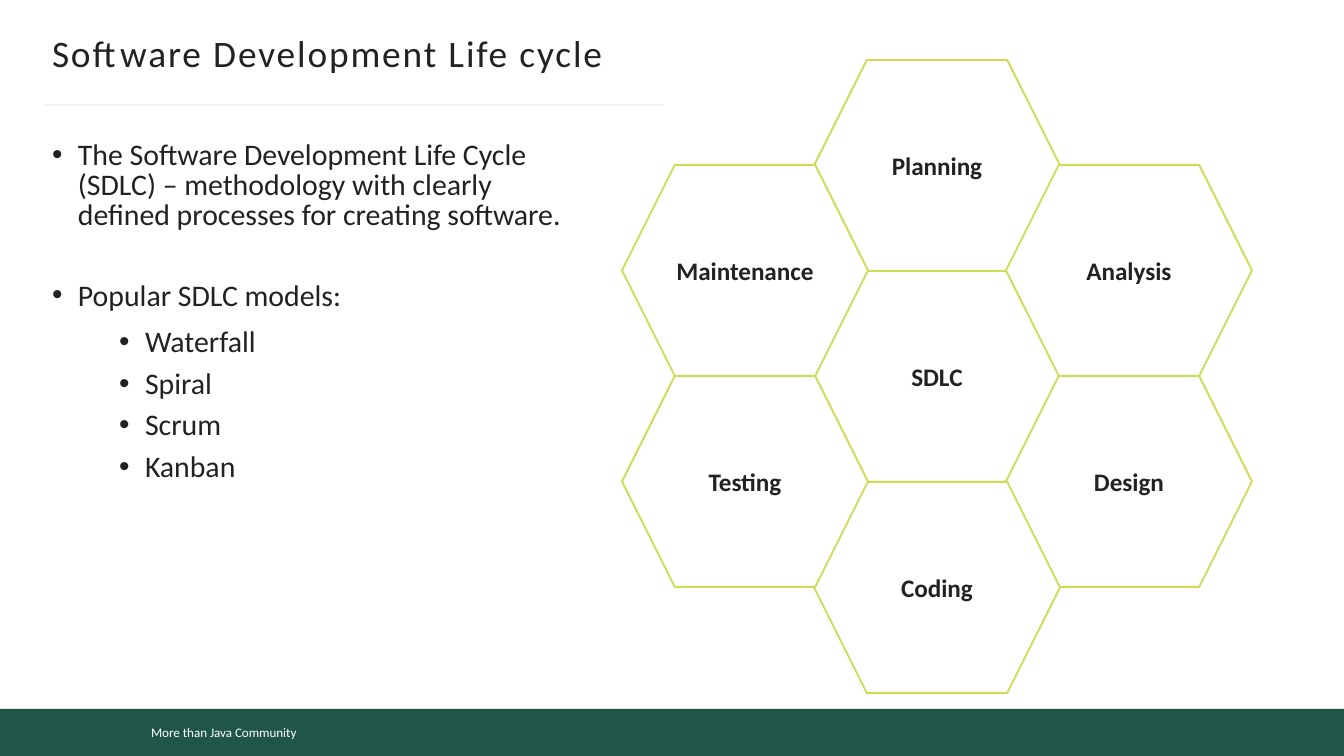
from pptx import Presentation
from pptx.dml.color import RGBColor
from pptx.enum.shapes import MSO_CONNECTOR, MSO_SHAPE
from pptx.enum.text import MSO_ANCHOR, MSO_AUTO_SIZE, PP_ALIGN
from pptx.oxml.ns import qn
from pptx.util import Emu, Pt
from lxml import etree

RECT, HEX = MSO_SHAPE.RECTANGLE, MSO_SHAPE.HEXAGON
LINE = MSO_CONNECTOR.STRAIGHT
TOP, MID = MSO_ANCHOR.TOP, MSO_ANCHOR.MIDDLE
LEFT, MAIN = PP_ALIGN.LEFT, PP_ALIGN.CENTER
FIXED = MSO_AUTO_SIZE.NONE

SCALE = 914400 / 134.4
COLORS = {"ink": "222222", "white": "FFFFFF", "green": "205648",
          "lime": "CEDB56", "rule": "F5F5F5"}
ITEM = {"line_spacing": Pt(16), "space_after": Pt(3)}
NEXT = {**ITEM, "space_before": Pt(24.2)}
MODEL = {"line_spacing": 0.9, "space_before": Pt(5)}


def px(n):
    return Emu(round(n * SCALE))


def tint(name):
    return RGBColor.from_string(COLORS[name])


def apply(target, values):
    for key, value in values.items():
        setattr(target, key, value)


class Deck:
    font = "Calibri"

    def __init__(self, wide, high):
        self.file = Presentation()
        self.file.slide_width, self.file.slide_height = px(wide), px(high)
        self.slide = self.file.slides.add_slide(self.file.slide_layouts[5])
        self.shapes = self.slide.shapes

    def words(self, para, text, size, color="ink", bold=False, **style):
        run = para.add_run()
        run.text = text
        apply(run.font, {"name": self.font, "size": Pt(size), "bold": bold})
        run.font.color.rgb = tint(color)
        apply(para, style)
        return run

    def frame(self, shape, anchor, wrap=True, **inset):
        frame = shape.text_frame
        apply(frame, {"word_wrap": wrap, "auto_size": FIXED,
                      "vertical_anchor": anchor, **inset})
        return frame

    def title(self, text, box):
        head = self.shapes.title
        apply(head, dict(zip(("left", "top", "width", "height"), map(px, box))))
        frame = self.frame(head, MID, False, margin_left=0, margin_right=0)
        run = self.words(frame.paragraphs[0], text, 20,
                         alignment=LEFT, line_spacing=0.9)
        run.font._element.set("spc", "100")

    def shape(self, kind, box, fill, edge=None):
        shape = self.shapes.add_shape(kind, *map(px, box))
        shape.shadow.inherit = False
        shape.fill.solid()
        shape.fill.fore_color.rgb = tint(fill)
        if edge:
            shape.line.color.rgb = tint(edge)
            shape.line.width = Pt(1)
        else:
            shape.line.fill.background()
        return shape

    def label(self, shape, text, size, color, bold, align):
        para = self.frame(shape, MID).paragraphs[0]
        self.words(para, text, size, color, bold, alignment=align)

    def rule(self, left, right, y):
        line = self.shapes.add_connector(LINE, *map(px, (left, y, right, y)))
        line.line.color.rgb = tint("rule")
        line.line.width = Pt(1.5)
        etree.SubElement(line._element.spPr, qn("a:effectLst"))

    def bullets(self, box, items):
        text = self.shapes.add_textbox(*map(px, box))
        frame = self.frame(text, TOP, margin_left=0, margin_right=0,
                           margin_top=0, margin_bottom=0)
        for i, (item, level, style) in enumerate(items):
            para = frame.add_paragraph() if i else frame.paragraphs[0]
            props = para._p.get_or_add_pPr()
            props.set("marL", str(px(26 + 67 * level)))
            props.set("indent", str(-px(26)))
            etree.SubElement(props, qn("a:buFont"), typeface="Arial")
            etree.SubElement(props, qn("a:buChar"), char="•")
            self.words(para, item, 16, level=level, **style)


def main():
    deck = Deck(1344, 756)
    deck.shape(RECT, (0, 709, 1344, 47), "green")
    foot = deck.shape(RECT, (138, 717, 356, 30), "green")
    deck.label(foot, "More than Java Community", 7, "white", False, LEFT)
    deck.rule(43, 664, 105)
    deck.title("Software Development Life cycle", (52, 33, 1240, 45))

    models = ["Waterfall", "Spiral", "Scrum", "Kanban"]
    deck.bullets((52, 142, 515, 474), [
        ("The Software Development Life Cycle (SDLC) – methodology with "
         "clearly defined processes for creating software.", 0, ITEM),
        ("Popular SDLC models:", 0, NEXT),
        *((name, 1, MODEL) for name in models)])

    cells = [("SDLC", 1, 2), ("Planning", 1, 0), ("Analysis", 2, 1),
             ("Design", 2, 3), ("Coding", 1, 4), ("Testing", 0, 3),
             ("Maintenance", 0, 1)]
    wide, high, step = 246, 211, 192
    for name, col, row in cells:
        box = (622 + step * col, 60 + high * row // 2, wide, high)
        cell = deck.shape(HEX, box, "white", "lime")
        deck.label(cell, name, 13.5, "ink", True, MAIN)
    deck.file.save("out.pptx")


if __name__ == "__main__":
    main()
